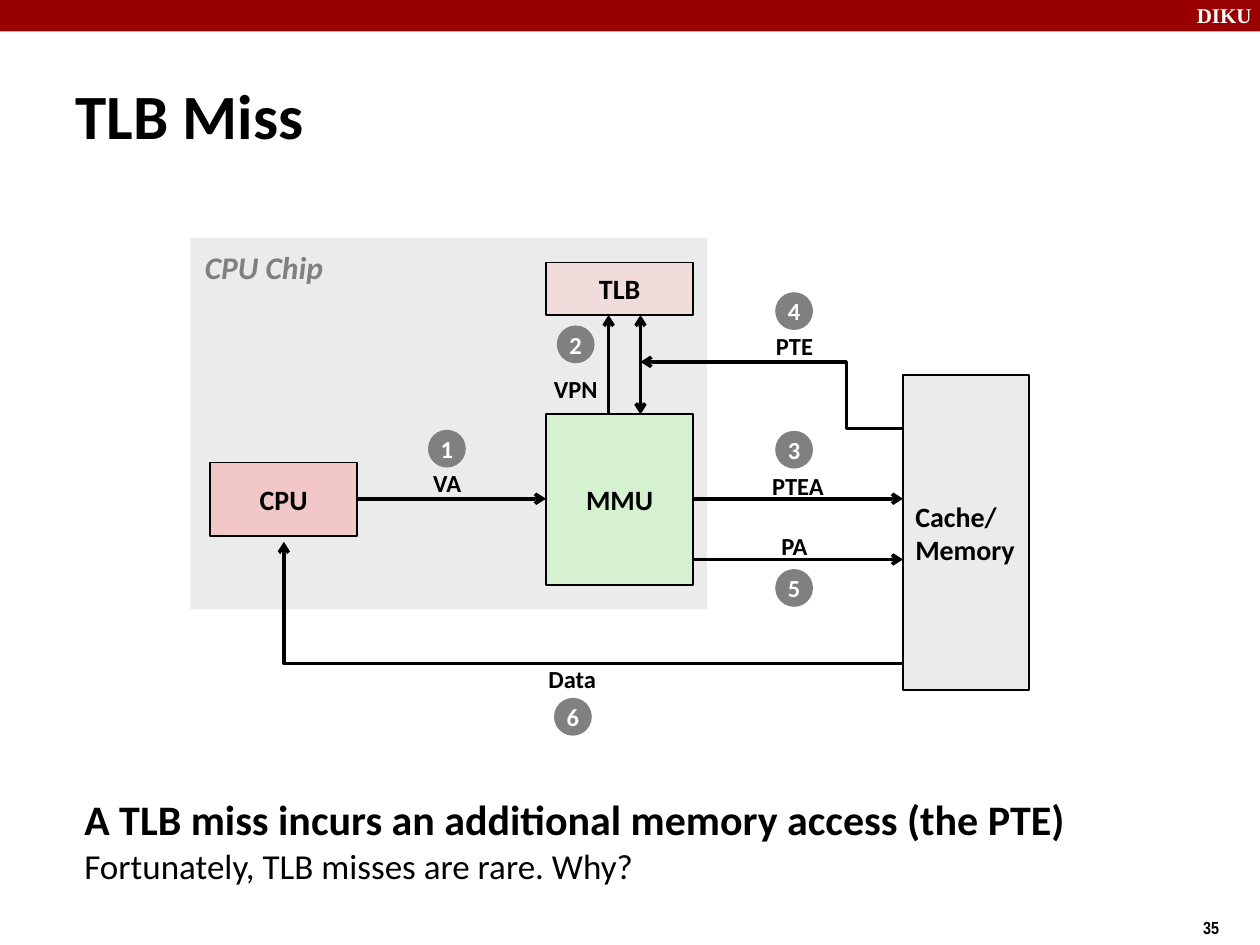
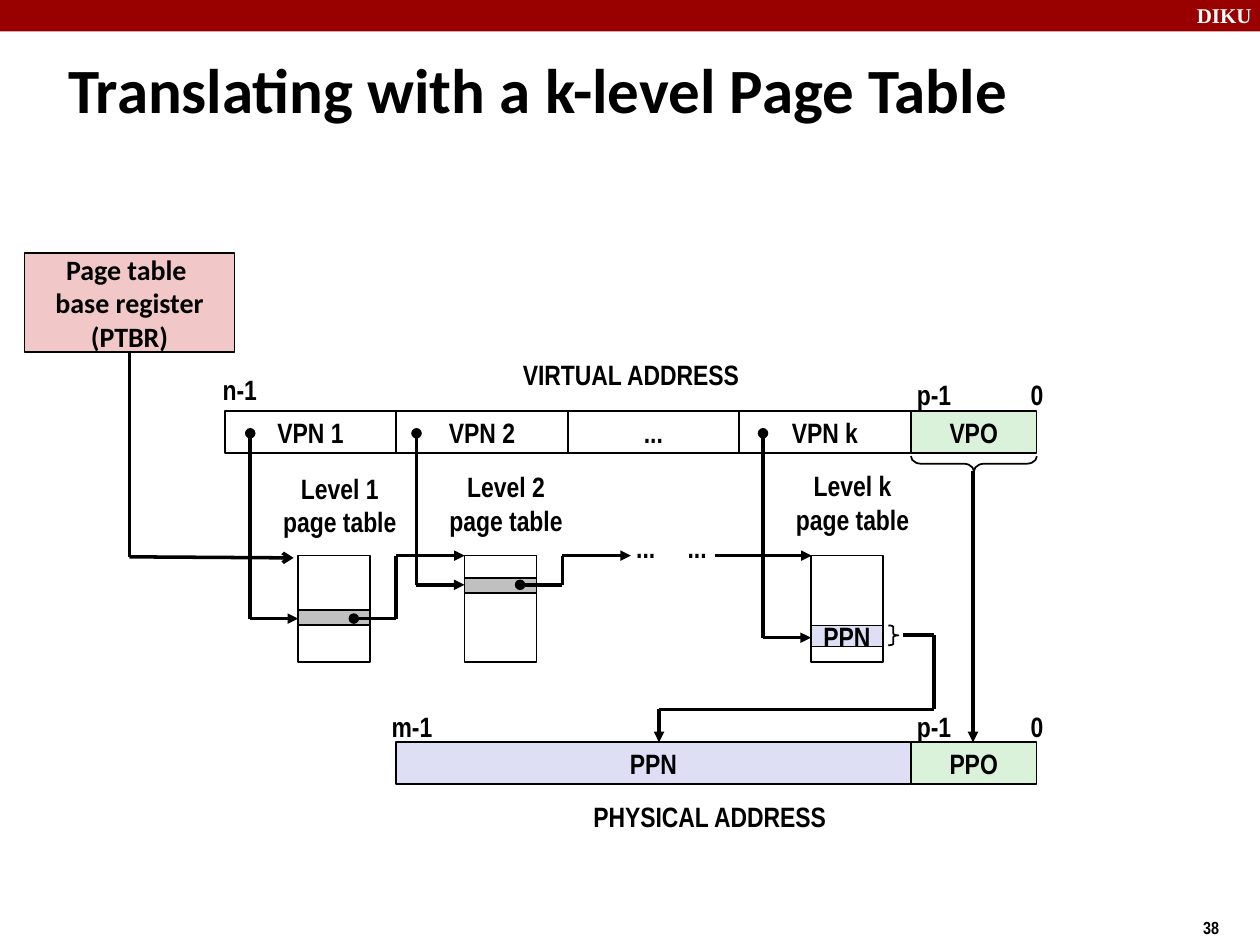
from dataclasses import dataclass
from itertools import pairwise

from lxml.etree import SubElement
from pptx import Presentation
from pptx.dml.color import RGBColor
from pptx.enum.shapes import MSO_CONNECTOR, MSO_SHAPE
from pptx.enum.text import MSO_ANCHOR, MSO_AUTO_SIZE, PP_ALIGN
from pptx.oxml.ns import qn
from pptx.util import Pt

BLACK, WHITE, RED, GREY = "000000", "FFFFFF", "990000", "808080"
CHIP, PINK, ROSE, GREEN = "EBEBEB", "F1C7C7", "F2DCDB", "D5F1CF"
MINT, LILAC, SILVER = "DBF2DA", "DEDFF5", "C0C0C0"
SANS, NARROW, SERIF = "Calibri", "Arial Narrow", "Times New Roman"


@dataclass(frozen=True)
class TextStyle:
    font: str = SANS
    size: float = 16
    color: str = BLACK
    bold: bool = True
    italic: bool = False
    align: PP_ALIGN = PP_ALIGN.CENTER
    anchor: MSO_ANCHOR = MSO_ANCHOR.MIDDLE
    wrap: bool = False


@dataclass(frozen=True)
class Area:
    left: float
    top: float
    width: float
    height: float

    def lengths(self) -> list:
        return [Pt(v) for v in (self.left, self.top, self.width, self.height)]


@dataclass(frozen=True)
class Block:
    text: str
    area: Area
    fill: str | None
    style: TextStyle = TextStyle()
    line: float = 1


@dataclass(frozen=True)
class Label:
    text: str
    x: float
    y: float


@dataclass(frozen=True)
class PageTable:
    level: str
    left: float
    label_y: float
    entry_top: float
    entry_height: float
    pointer_y: float
    text: str = ""
    fill: str = SILVER


TITLE = TextStyle(size=36, align=PP_ALIGN.LEFT, wrap=True)
BLOCK = TextStyle()
LEFT_BLOCK = TextStyle(align=PP_ALIGN.LEFT)
SIGNAL = TextStyle(size=14)
BADGE = TextStyle(size=14, color=WHITE)
CHIP_NAME = TextStyle(size=18, color=GREY, italic=True,
                      align=PP_ALIGN.LEFT, anchor=MSO_ANCHOR.TOP)
FIELD = TextStyle(font=NARROW)
BRAND = TextStyle(SERIF, 12, WHITE, align=PP_ALIGN.LEFT, anchor=MSO_ANCHOR.TOP, wrap=True)
NUMBER = TextStyle(NARROW, 10, align=PP_ALIGN.LEFT, anchor=MSO_ANCHOR.TOP, wrap=True)


def rgb(color: str) -> RGBColor:
    return RGBColor.from_string(color)


def write(shape, text: str, style: TextStyle) -> None:
    frame = shape.text_frame
    frame.text = text
    frame.word_wrap = style.wrap
    frame.auto_size = MSO_AUTO_SIZE.NONE
    frame.vertical_anchor = style.anchor
    for para in frame.paragraphs:
        para.alignment = style.align
        font = para.font
        font.name, font.size = style.font, Pt(style.size)
        font.bold, font.italic = style.bold, style.italic
        font.color.rgb = rgb(style.color)


def add_text(page, text: str, area: Area, style: TextStyle) -> None:
    write(page.shapes.add_textbox(*area.lengths()), text, style)


def add_label(page, label: Label, style: TextStyle) -> None:
    width, height = 100, 46
    area = Area(label.x - width / 2, label.y - height / 2, width, height)
    add_text(page, label.text, area, style)


def add_figure(page, kind: MSO_SHAPE, area: Area, fill: str | None, line: float = 0):
    shape = page.shapes.add_shape(kind, *area.lengths())
    shape.shadow.inherit = False
    if fill:
        shape.fill.solid()
        shape.fill.fore_color.rgb = rgb(fill)
    else:
        shape.fill.background()
    if line:
        shape.line.color.rgb = rgb(BLACK)
        shape.line.width = Pt(line)
    else:
        shape.line.fill.background()
    return shape


def add_block(page, block: Block) -> None:
    shape = add_figure(page, MSO_SHAPE.RECTANGLE, block.area, block.fill, block.line)
    if block.text:
        write(shape, block.text, block.style)


def add_badge(page, badge: Label) -> None:
    size = 21.6
    area = Area(badge.x - size / 2, badge.y - size / 2, size, size)
    write(add_figure(page, MSO_SHAPE.OVAL, area, GREY), badge.text, BADGE)


def add_brace(page, area: Area, curve: float, rotation: float = 0) -> None:
    brace = add_figure(page, MSO_SHAPE.RIGHT_BRACE, area, None, 1)
    brace.adjustments[0] = curve
    brace.rotation = rotation


def add_line(page, start: tuple, end: tuple, head: str = "", tail: str = "",
             kind: MSO_CONNECTOR = MSO_CONNECTOR.STRAIGHT):
    line = page.shapes.add_connector(kind, *(Pt(v) for v in (*start, *end)))
    line.line.color.rgb = rgb(BLACK)
    line.line.width = Pt(2)
    outline = line.line._get_or_add_ln()
    for tag, end_type in (("a:headEnd", head), ("a:tailEnd", tail)):
        if end_type:
            SubElement(outline, qn(tag)).set("type", end_type)
    SubElement(line._element.spPr, qn("a:effectLst"))
    return line


def add_route(page, points: list, head: str = "", tail: str = "") -> None:
    segments = list(pairwise(points))
    for index, (start, end) in enumerate(segments):
        add_line(page, start, end, head if index == 0 else "",
                 tail if index == len(segments) - 1 else "")


def add_return(page, corner: tuple, origin: tuple, preset: str, bend: int | None = None) -> None:
    line = add_line(page, corner, origin, tail="arrow", kind=MSO_CONNECTOR.ELBOW)
    properties = line._element.spPr
    properties.find(qn("a:xfrm")).set("rot", "10800000")
    geometry = properties.find(qn("a:prstGeom"))
    geometry.set("prst", preset)
    if bend is not None:
        guide = SubElement(geometry.find(qn("a:avLst")), qn("a:gd"))
        guide.set("name", "adj1")
        guide.set("fmla", f"val {bend}")


def start_page(deck, layout: int, title: str, title_area: Area, number: str):
    page = deck.slides.add_slide(deck.slide_layouts[layout])
    add_figure(page, MSO_SHAPE.RECTANGLE, Area(0, 0, 720, 18), RED)
    add_text(page, "DIKU", Area(676.8, -2.2, 48, 21.6), BRAND)
    add_text(page, number, Area(680.4, 520.6, 54, 21), NUMBER)
    place(page.shapes.title, title_area)
    write(page.shapes.title, title, TITLE)
    return page


def place(shape, area: Area) -> None:
    shape.left, shape.top, shape.width, shape.height = area.lengths()


def write_conclusion(body) -> None:
    place(body, Area(41, 450, 607, 72))
    body.text_frame.auto_size = MSO_AUTO_SIZE.NONE
    para = body.text_frame.paragraphs[0]
    para.space_before = Pt(4.8)
    for text, size, bold in (
        ("A TLB miss incurs an additional memory access (the PTE)", 24, True),
        ("Fortunately, TLB misses are rare. Why?", 20, False),
    ):
        if para.runs:
            para.add_line_break()
        span = para.add_run()
        span.text = text
        span.font.name, span.font.size, span.font.bold = SANS, Pt(size), bold
        span.font.color.rgb = rgb(BLACK)
    properties = para._p.get_or_add_pPr()
    properties.set("marL", "0")
    properties.set("indent", "0")
    SubElement(properties, qn("a:buNone"))


def build_tlb_miss(deck) -> None:
    page = start_page(deck, 1, "TLB Miss", Area(36, 34.6, 686, 62), "35")
    for block in (
        Block("", Area(108.8, 136, 295.2, 212.2), CHIP, line=0),
        Block("MMU", Area(312, 236.8, 84.2, 97.4), GREEN),
        Block("Cache/\nMemory", Area(516, 214.4, 72, 180), CHIP, LEFT_BLOCK, 1.5),
        Block("CPU", Area(120, 264.4, 84.2, 42), PINK),
        Block("TLB", Area(312, 150, 84.2, 30), ROSE),
    ):
        add_block(page, block)
    add_text(page, "CPU Chip", Area(110, 138.4, 82, 29), CHIP_NAME)
    for start, end, head in (
        ((204.2, 285), (312, 285), ""),
        ((396.2, 285), (516, 285), ""),
        ((396.2, 319.7), (516, 319.7), ""),
        ((347.8, 236.8), (347.8, 180), ""),
        ((366, 180), (366, 236.8), "arrow"),
    ):
        add_line(page, start, end, head, "arrow")
    add_return(page, (162.2, 309.6), (516, 379.2), "bentConnector2")
    add_return(page, (366, 206.8), (516, 244.8), "bentConnector3", 21600)
    for label in (
        Label("VA", 255.6, 276), Label("VPN", 329, 222), Label("PTEA", 456, 277.6),
        Label("PTE", 454, 197.6), Label("PA", 454, 312), Label("Data", 327, 387.8),
    ):
        add_label(page, label, SIGNAL)
    for badge in (
        Label("1", 255.4, 256.4), Label("2", 329, 196.8), Label("3", 453.8, 257),
        Label("4", 453.8, 177.8), Label("5", 453.8, 336), Label("6", 327.4, 409.6),
    ):
        add_badge(page, badge)
    write_conclusion(page.placeholders[1])


def add_page_table(page, table: PageTable) -> None:
    top, width, stem = 317.5, 41.2, table.left - 27.4
    add_block(page, Block("", Area(table.left, top, width, 61), None))
    entry = Area(table.left, table.entry_top, width, table.entry_height)
    add_block(page, Block(table.text, entry, table.fill, FIELD))
    add_route(page, [(stem, 247.6), (stem, table.pointer_y), (table.left, table.pointer_y)],
              "oval", "triangle")
    add_label(page, Label(f"Level {table.level}\npage table",
                          table.left + 23.8, table.label_y), FIELD)
    if not table.text:
        riser = table.left + 56
        add_route(page, [(table.left + 31.8, table.pointer_y), (riser, table.pointer_y),
                         (riser, top), (riser + 39.1, top)], "oval", "triangle")


def build_page_table_walk(deck) -> None:
    page = start_page(deck, 5, "Translating with a k-level Page Table",
                      Area(31.7, 19.4, 652, 62), "38")
    first, field_width, offset_width, height = 128.4, 98, 72, 24
    offset_left = first + 4 * field_width
    virtual_top, physical_top = 234.8, 424.2

    ptbr_style = TextStyle(wrap=True)
    add_block(page, Block("Page table \vbase register\n(PTBR)",
                          Area(14, 144.6, 120, 56.6), PINK, ptbr_style))
    add_route(page, [(74, 201), (74, 318.2), (167.8, 318.8)], tail="arrow")

    for index, name in enumerate(("VPN 1", "VPN 2", "...", "VPN k")):
        area = Area(first + index * field_width, virtual_top, field_width, height)
        add_block(page, Block(name, area, None, FIELD))
    for name, top in (("VPO", virtual_top), ("PPO", physical_top)):
        add_block(page, Block(name, Area(offset_left, top, offset_width, height), MINT, FIELD))
    add_block(page, Block("PPN", Area(first + field_width, physical_top,
                                      3 * field_width, height), LILAC, FIELD))

    for table in (
        PageTable("1", 170.4, 288.4, 348.6, 8.6, 353.5),
        PageTable("2", 265.4, 287.6, 330.4, 8.6, 334.2),
        PageTable("k", 463.4, 287, 357.4, 12, 364.4, "PPN", LILAC),
    ):
        add_page_table(page, table)

    add_line(page, (408.4, 317.5), (463.8, 317.5), tail="triangle")
    add_line(page, (556, 269.2), (556, physical_top), tail="triangle")
    add_route(page, [(516.2, 363), (533.6, 363), (533.6, 405.4), (376.6, 405.4),
                     (376.6, physical_top)], tail="triangle")
    add_brace(page, Area(552.2, 229, 8.6, 72), 0.68, 90)
    add_brace(page, Area(507.6, 357.4, 5.8, 11.4), 0.16)

    for label in (
        Label("VIRTUAL ADDRESS", 360.6, 214), Label("PHYSICAL ADDRESS", 405.6, 466.6),
        Label("n-1", 137, 222.6), Label("m-1", 235.4, 414.8),
        Label("...", 369, 312.6), Label("...", 398.4, 312.6),
        *(Label(text, x, y) for y in (225.4, 414.8)
          for text, x in (("p-1", 533.8), ("0", 592.6))),
    ):
        add_label(page, label, FIELD)


def main() -> None:
    deck = Presentation()
    deck.slide_width, deck.slide_height = Pt(720), Pt(540)
    build_tlb_miss(deck)
    build_page_table_walk(deck)
    deck.save("out.pptx")


if __name__ == "__main__":
    main()
